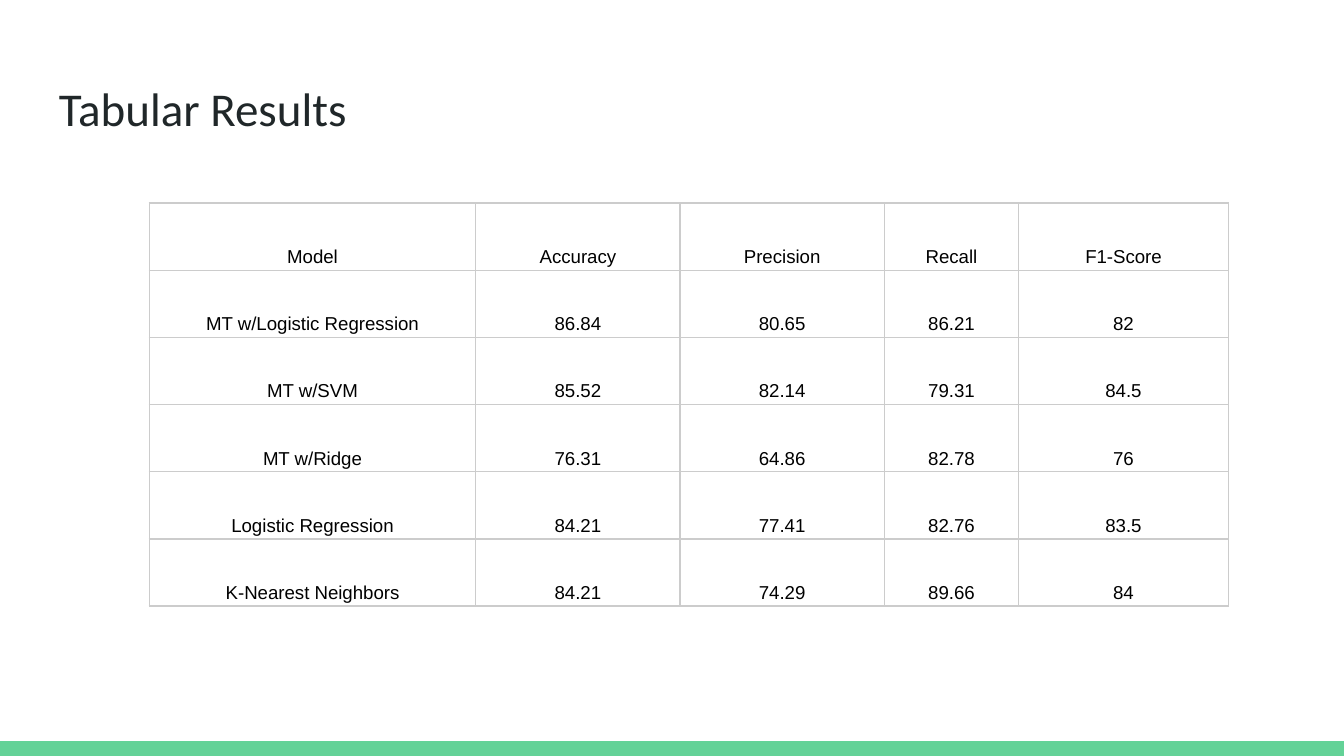
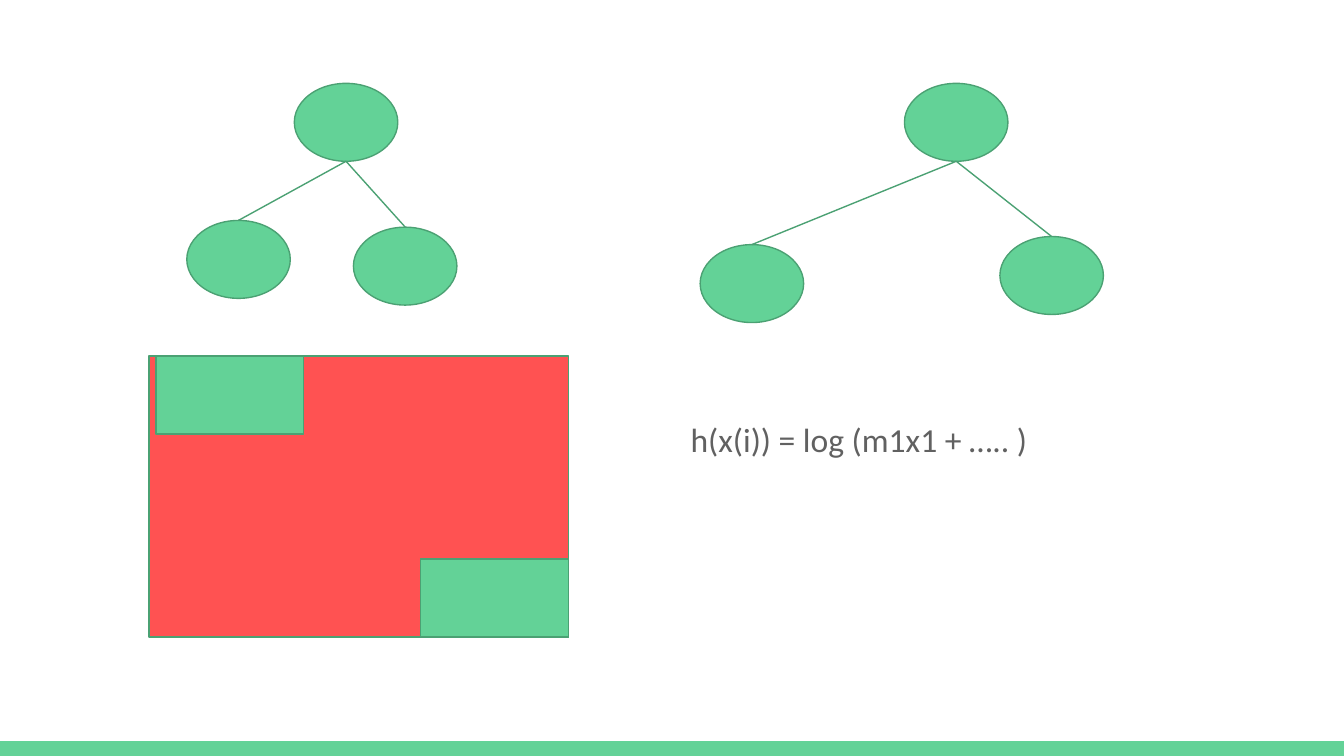
import pptx
import pptx.dml.color
import pptx.enum.shapes
import pptx.enum.text
import pptx.oxml
import pptx.oxml.ns
import pptx.util

Inches, Pt = pptx.util.Inches, pptx.util.Pt
RGBColor = pptx.dml.color.RGBColor
SHAPE = pptx.enum.shapes.MSO_SHAPE
qn, nsdecls = pptx.oxml.ns.qn, pptx.oxml.ns.nsdecls

GREEN = RGBColor(0x63, 0xD2, 0x97)
DARK_GREEN = RGBColor(0x4B, 0xA1, 0x73)
RED = RGBColor(0xFF, 0x52, 0x52)
INK = RGBColor(0x20, 0x27, 0x29)
GREY = RGBColor(0x61, 0x61, 0x61)
BLACK = RGBColor(0, 0, 0)
BORDER = RGBColor(0xCC, 0xCC, 0xCC)

SLIDE_W = 10
SLIDE_H = SLIDE_W * 9 / 16
BAND_H = 0.11
LINE_W = 0.75

TITLE = "Tabular Results"
RESULTS = [
    ("Model", "Accuracy", "Precision", "Recall", "F1-Score"),
    ("MT w/Logistic Regression", "86.84", "80.65", "86.21", "82"),
    ("MT w/SVM", "85.52", "82.14", "79.31", "84.5"),
    ("MT w/Ridge", "76.31", "64.86", "82.78", "76"),
    ("Logistic Regression", "84.21", "77.41", "82.76", "83.5"),
    ("K-Nearest Neighbors", "84.21", "74.29", "89.66", "84"),
]
COLUMN_WIDTHS = [2.43, 1.52, 1.52, 1, 1.56]
ROW_H = 0.5
LEFT = 1.11

NODE_W, NODE_H = 0.77, 0.58
# Each tree: left and top of the root, then of its children
TREES = [
    ((2.19, 0.62), [(1.39, 1.64), (2.63, 1.69)]),
    ((6.73, 0.62), [(5.21, 1.82), (7.44, 1.76)]),
]
REGION = (LEFT, 2.65, 3.12, 2.09)
PATCH_W, PATCH_H = 1.1, 0.58
FORMULA = "h(x(i)) = log (m1x1 + ….. )"


def add_block(s, kind, x, y, w, h, fill, line=DARK_GREEN):
    sp = s.shapes.add_shape(kind, Inches(x), Inches(y), Inches(w), Inches(h))
    sp.shadow.inherit = False
    sp.fill.solid()
    sp.fill.fore_color.rgb = fill
    if line is None:
        sp.line.fill.background()
    else:
        sp.line.color.rgb = line
        sp.line.width = Pt(LINE_W)
    return sp


def add_run(p, text, font, size, color):
    r = p.add_run()
    r.text = text
    r.font.name = font
    r.font.size = Pt(size)
    r.font.color.rgb = color


def add_text(s, x, y, w, h, text, size, color):
    tf = s.shapes.add_textbox(Inches(x), Inches(y), Inches(w), Inches(h)).text_frame
    tf.word_wrap = True
    tf.margin_left = tf.margin_right = tf.margin_top = tf.margin_bottom = Inches(0.1)
    add_run(tf.paragraphs[0], text, "Calibri", size, color)


def add_banded_slide(prs):
    s = prs.slides.add_slide(prs.slide_layouts[6])
    add_block(s, SHAPE.RECTANGLE, 0, SLIDE_H - BAND_H, SLIDE_W, BAND_H, GREEN, None)
    return s


def set_borders(cell):
    tc_pr = cell._tc.get_or_add_tcPr()
    for i, side in enumerate("LRTB"):
        tc_pr.insert(i, pptx.oxml.parse_xml(
            f'<a:ln{side} {nsdecls("a")} w="{Pt(LINE_W)}"><a:solidFill>'
            f'<a:srgbClr val="{BORDER}"/></a:solidFill></a:ln{side}>'))


def fill_cell(cell, text):
    cell.fill.background()
    set_borders(cell)
    cell.vertical_anchor = pptx.enum.text.MSO_ANCHOR.BOTTOM
    cell.margin_left = cell.margin_right = Inches(0.03)
    cell.margin_top = cell.margin_bottom = Inches(0.02)
    p = cell.text_frame.paragraphs[0]
    p.alignment = pptx.enum.text.PP_ALIGN.CENTER
    p.line_spacing = 1.15
    add_run(p, text, "Arial", 10, BLACK)


def add_results_table(s):
    table = s.shapes.add_table(
        len(RESULTS), len(COLUMN_WIDTHS), Inches(LEFT), Inches(1.51),
        Inches(sum(COLUMN_WIDTHS)), Inches(ROW_H * len(RESULTS))).table
    table.first_row = table.horz_banding = False
    for column, width in zip(table.columns, COLUMN_WIDTHS):
        column.width = Inches(width)
    for i, values in enumerate(RESULTS):
        table.rows[i].height = Inches(ROW_H)
        for j, text in enumerate(values):
            fill_cell(table.cell(i, j), text)


def add_node(s, x, y):
    return add_block(s, SHAPE.OVAL, x, y, NODE_W, NODE_H, GREEN)


def add_tree(s, root, children):
    parent = add_node(s, *root)
    start_x = parent.left + parent.width // 2
    start_y = parent.top + parent.height
    for place in children:
        child = add_node(s, *place)
        branch = s.shapes.add_connector(
            pptx.enum.shapes.MSO_CONNECTOR.STRAIGHT,
            start_x, start_y, child.left + child.width // 2, child.top)
        branch.end_connect(child, 0)
        branch.line.color.rgb = DARK_GREEN
        branch.line.width = Pt(LINE_W)
        branch._element.spPr.append(pptx.oxml.parse_xml(f'<a:effectLst {nsdecls("a")}/>'))


def add_region(s):
    """Red area with a green patch at its top left and bottom right."""
    x, y, w, h = REGION
    add_block(s, SHAPE.RECTANGLE, x, y, w, h, RED)
    for px, py in [(x + 0.05, y), (x + w - PATCH_W, y + h - PATCH_H)]:
        add_block(s, SHAPE.RECTANGLE, px, py, PATCH_W, PATCH_H, GREEN)


def main():
    prs = pptx.Presentation()
    prs.slide_width, prs.slide_height = Inches(SLIDE_W), Inches(SLIDE_H)

    s = add_banded_slide(prs)
    add_text(s, 0.34, 0.49, 9.32, 0.63, TITLE, 25.2, INK)
    add_results_table(s)

    s = add_banded_slide(prs)
    for root, children in TREES:
        add_tree(s, root, children)
    add_region(s)
    add_text(s, 5.04, 3.02, 4.3, 0.62, FORMULA, 18, GREY)

    prs.save("out.pptx")


if __name__ == "__main__":
    main()
